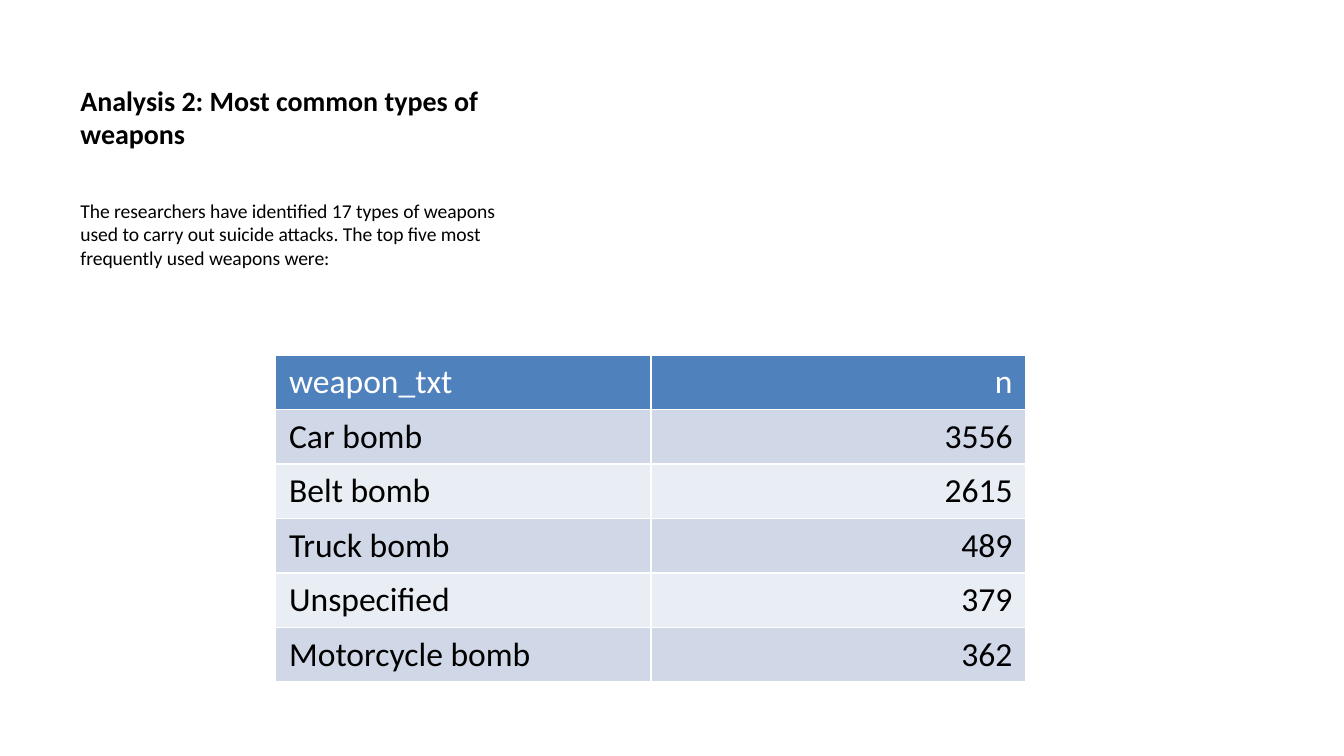
from pptx import Presentation
from pptx.dml.color import RGBColor
from pptx.enum.text import MSO_ANCHOR, PP_ALIGN
from pptx.util import Cm, Pt


def color(value):
    return RGBColor.from_string(value)


def add_span(para, text, size, hue="000000", bold=False):
    span = para.add_run()
    span.text = text
    span.font.name = "Calibri"
    span.font.size = Pt(size)
    span.font.bold = bold
    span.font.color.rgb = color(hue)


deck = Presentation()
deck.slide_width = Cm(25.4)
deck.slide_height = Cm(14.29)
page = deck.slides.add_slide(deck.slide_layouts[6])

texts = [
    (0.56, "Analysis 2: Most common types of weapons", 15, True, MSO_ANCHOR.BOTTOM),
    (3.63, "The researchers have identified 17 types of weapons used to carry out "
           "suicide attacks. The top five most frequently used weapons were:",
     10.5, False, MSO_ANCHOR.TOP),
]
for top, text, size, bold, anchor in texts:
    box = page.shapes.add_textbox(Cm(1.27), Cm(top), Cm(8.36), Cm(2.41))
    box.text_frame.word_wrap = True
    box.text_frame.vertical_anchor = anchor
    add_span(box.text_frame.paragraphs[0], text, size, bold=bold)

weapons = [
    ("weapon_txt", "n"),
    ("Car bomb", "3556"),
    ("Belt bomb", "2615"),
    ("Truck bomb", "489"),
    ("Unspecified", "379"),
    ("Motorcycle bomb", "362"),
]
table = page.shapes.add_table(
    len(weapons), 2, Cm(5.21), Cm(6.71), Cm(14.18), Cm(1.03 * len(weapons))
).table
for row, values in enumerate(weapons):
    if row == 0:
        fill, hue = "4F81BD", "FFFFFF"
    else:
        fill, hue = ("D0D8E8" if row % 2 else "E9EDF4"), "000000"
    for column, text in enumerate(values):
        cell = table.cell(row, column)
        cell.fill.solid()
        cell.fill.fore_color.rgb = color(fill)
        para = cell.text_frame.paragraphs[0]
        para.alignment = PP_ALIGN.RIGHT if column else PP_ALIGN.LEFT
        add_span(para, text, 18, hue)

deck.save("out.pptx")
